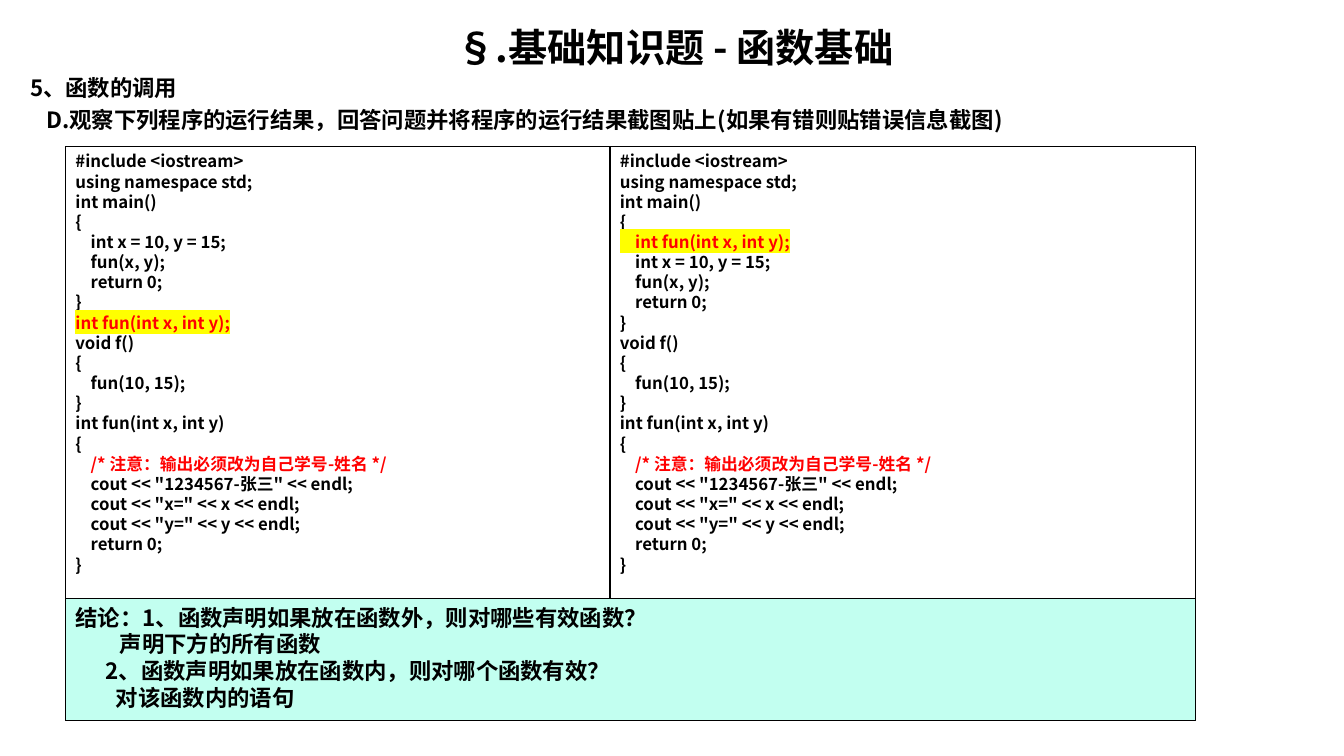
from lxml import etree
from pptx import Presentation
from pptx.dml.color import RGBColor
from pptx.enum.shapes import MSO_SHAPE
from pptx.enum.text import MSO_ANCHOR, PP_ALIGN
from pptx.oxml.ns import qn
from pptx.util import Inches, Pt

RECT = MSO_SHAPE.RECTANGLE
TOP = MSO_ANCHOR.TOP
LEFT, CENTER = PP_ALIGN.LEFT, PP_ALIGN.CENTER
BLACK = RGBColor(0x00, 0x00, 0x00)
RED = RGBColor(0xFF, 0x00, 0x00)
MINT = RGBColor(0xC2, 0xFF, 0xF0)
YELLOW = "FFFF00"
FONT = "Noto Sans CJK SC"
LEAD = 1.2  # line pitch as a share of the text size

TITLE = "§.基础知识题 - 函数基础"
TOPIC = "5、函数的调用"
TASK = "D.观察下列程序的运行结果，回答问题并将程序的运行结果截图贴上(如果有错则贴错误信息截图)"

DECL = "int fun(int x, int y);"
NOTE = "    /* 注意：输出必须改为自己学号-姓名 */"
HEAD = ["#include <iostream>", "using namespace std;", "int main()", "{"]
BODY = ["    int x = 10, y = 15;", "    fun(x, y);", "    return 0;", "}"]
TAIL = [
    "void f()",
    "{",
    "    fun(10, 15);",
    "}",
    "int fun(int x, int y)",
    "{",
    NOTE,
    '    cout << "1234567-张三" << endl;',
    '    cout << "x=" << x << endl;',
    '    cout << "y=" << y << endl;',
    "    return 0;",
    "}",
]
OUTER = HEAD + BODY + [DECL] + TAIL
INNER = HEAD + ["    " + DECL] + BODY + TAIL

# (text, indent in inches)
ANSWERS = [
    ("结论：1、函数声明如果放在函数外，则对哪些有效函数？", 0),
    ("声明下方的所有函数", 0.44),
    ("2、函数声明如果放在函数内，则对哪个函数有效？", 0.3),
    ("对该函数内的语句", 0.4),
]

# left, top, width, height in inches
INTRO_AT = (0.2, 0.18, 12.99, 1.2)
X, Y, WIDTH, HEIGHT = 0.65, 1.45, 11.21, 5.7
SPLIT = 6.05
FOOT = 1.21


def add_line(frame, text, size=12, color=BLACK, mark=None, indent=0,
             align=LEFT, before=0):
    """Fill the empty first paragraph of the frame, or append a new one."""
    para = frame.paragraphs[0]
    if para.runs:
        para = frame.add_paragraph()
        para.space_before = Pt(before)
    para.alignment = align
    para.line_spacing = Pt(size * LEAD)
    if indent:
        props = para._p.get_or_add_pPr()
        props.set("marL", str(Inches(indent)))
        props.set("indent", "0")
    run = para.add_run()
    run.text = text
    font = run.font
    font.size, font.bold, font.name = Pt(size), True, FONT
    font.color.rgb = color
    latin = run._r.rPr.find(qn("a:latin"))
    if mark:
        light = etree.Element(qn("a:highlight"))
        etree.SubElement(light, qn("a:srgbClr")).set("val", mark)
        latin.addprevious(light)
    east = etree.Element(qn("a:ea"))
    east.set("typeface", FONT)
    latin.addnext(east)


def add_panel(slide, place, fill=None):
    """Add an outlined box and return its text frame."""
    panel = slide.shapes.add_shape(RECT, *map(Inches, place))
    panel.shadow.inherit = False
    if fill is None:
        panel.fill.background()
    else:
        panel.fill.solid()
        panel.fill.fore_color.rgb = fill
    panel.line.color.rgb = BLACK
    panel.line.width = Pt(0.75)
    frame = panel.text_frame
    frame.word_wrap = True
    frame.vertical_anchor = TOP
    return frame


def add_code(slide, place, lines):
    frame = add_panel(slide, place)
    for line in lines:
        decl = line.strip() == DECL
        add_line(frame, line, color=RED if decl or line == NOTE else BLACK,
                 mark=YELLOW if decl else None)


def main():
    deck = Presentation()
    deck.slide_width, deck.slide_height = Inches(13.33), Inches(7.5)
    slide = deck.slides.add_slide(deck.slide_layouts[6])

    intro = slide.shapes.add_textbox(*map(Inches, INTRO_AT)).text_frame
    intro.word_wrap = True
    add_line(intro, TITLE, size=28, align=CENTER)
    add_line(intro, TOPIC, size=16, before=3.2)
    add_line(intro, TASK, size=16, before=3.2, indent=0.16)

    add_code(slide, (X, Y, WIDTH, HEIGHT), OUTER)
    add_code(slide, (SPLIT, Y, X + WIDTH - SPLIT, HEIGHT), INNER)

    foot = add_panel(slide, (X, Y + HEIGHT - FOOT, WIDTH, FOOT), MINT)
    for text, indent in ANSWERS:
        add_line(foot, text, size=16, indent=indent)

    deck.save("out.pptx")


if __name__ == "__main__":
    main()
